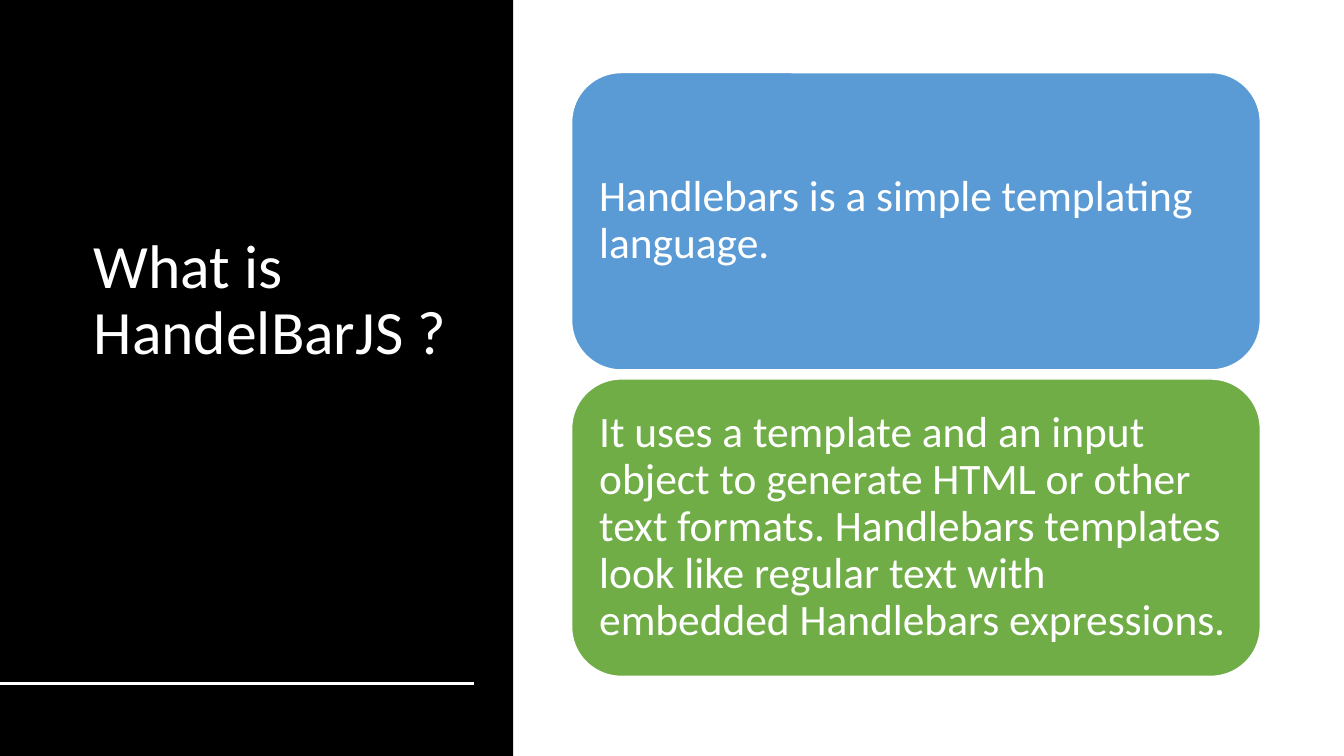
from pptx import Presentation
from pptx.dml.color import RGBColor
from pptx.enum.shapes import MSO_CONNECTOR, MSO_SHAPE
from pptx.enum.text import MSO_ANCHOR, MSO_AUTO_SIZE, PP_ALIGN
from pptx.oxml.ns import qn
from pptx.util import Inches, Pt
from lxml import etree

RECTANGLE = MSO_SHAPE.RECTANGLE
ROUNDED = MSO_SHAPE.ROUNDED_RECTANGLE
STRAIGHT = MSO_CONNECTOR.STRAIGHT
MIDDLE = MSO_ANCHOR.MIDDLE
LEFT = PP_ALIGN.LEFT

BLACK = RGBColor(0x00, 0x00, 0x00)
WHITE = RGBColor(0xFF, 0xFF, 0xFF)
BLUE = RGBColor(0x5B, 0x9B, 0xD5)
GREEN = RGBColor(0x70, 0xAD, 0x47)

FONT = "Calibri"
WIDTH, HEIGHT = Inches(13.33), Inches(7.5)
CARD_GAP = Inches(0.09)
CARD_INSET = Inches(0.13)
TITLE_LIFT = Inches(0.7)

TITLE = "What is HandelBarJS ?"
CARDS = [
    ("Handlebars is a simple templating language.", BLUE),
    ("It uses a template and an input object to generate HTML or other text "
     "formats. Handlebars templates look like regular text with embedded "
     "Handlebars expressions.", GREEN),
]


def write(text_frame, text, size):
    """Fill a text frame with one left-aligned white paragraph."""
    text_frame.word_wrap = True
    text_frame.auto_size = MSO_AUTO_SIZE.NONE
    text_frame.vertical_anchor = MIDDLE
    paragraph = text_frame.paragraphs[0]
    paragraph.alignment = LEFT
    paragraph.line_spacing = 0.9
    run = paragraph.add_run()
    run.text = text
    run.font.name = FONT
    run.font.size = Pt(size)
    run.font.color.rgb = WHITE


def add_block(slide, kind, box, fill):
    """Add a filled preset shape without shadow or outline."""
    shape = slide.shapes.add_shape(kind, *box)
    shape.shadow.inherit = False
    shape.fill.solid()
    shape.fill.fore_color.rgb = fill
    shape.line.fill.background()
    return shape


def add_title_panel(slide, left, top, width, height):
    # Black panel, sent behind the title
    panel = add_block(slide, RECTANGLE, (left, top, width, height), BLACK)
    title = slide.shapes.title
    title._element.addprevious(panel._element)

    # Title, lifted above the panel's middle by its bottom inset
    title.left, title.top = left + int(width * 0.163), top + int(height * 0.081)
    title.width, title.height = int(width * 0.766), int(height * 0.723)
    title.text_frame.margin_bottom = TITLE_LIFT
    write(title.text_frame, TITLE, 44)

    # Rule near the foot of the panel
    rule_y = top + int(height * 0.904)
    rule = slide.shapes.add_connector(
        STRAIGHT, left, rule_y, left + int(width * 0.923), rule_y)
    rule.line.color.rgb = WHITE
    rule.line.width = Pt(2)
    etree.SubElement(rule._element.spPr, qn("a:effectLst"))


def add_cards(slide, left, top, width, height):
    # Equal cards stacked down the box
    card_height = (height - CARD_GAP * (len(CARDS) - 1)) // len(CARDS)
    for row, (text, fill) in enumerate(CARDS):
        card_top = top + row * (card_height + CARD_GAP)
        card = add_block(slide, ROUNDED, (left, card_top, width, card_height), fill)
        card.line.color.rgb = WHITE
        card.line.width = Pt(1)
        frame = card.text_frame
        frame.margin_left = frame.margin_right = CARD_INSET
        frame.margin_top = frame.margin_bottom = CARD_INSET
        write(frame, text, 31)


def main():
    presentation = Presentation()
    presentation.slide_width, presentation.slide_height = WIDTH, HEIGHT
    slide = presentation.slides.add_slide(presentation.slide_layouts[5])
    add_title_panel(slide, 0, 0, Inches(5.09), HEIGHT)
    add_cards(slide, Inches(5.67), Inches(0.72), Inches(6.83), Inches(5.99))
    presentation.save("out.pptx")


if __name__ == "__main__":
    main()
